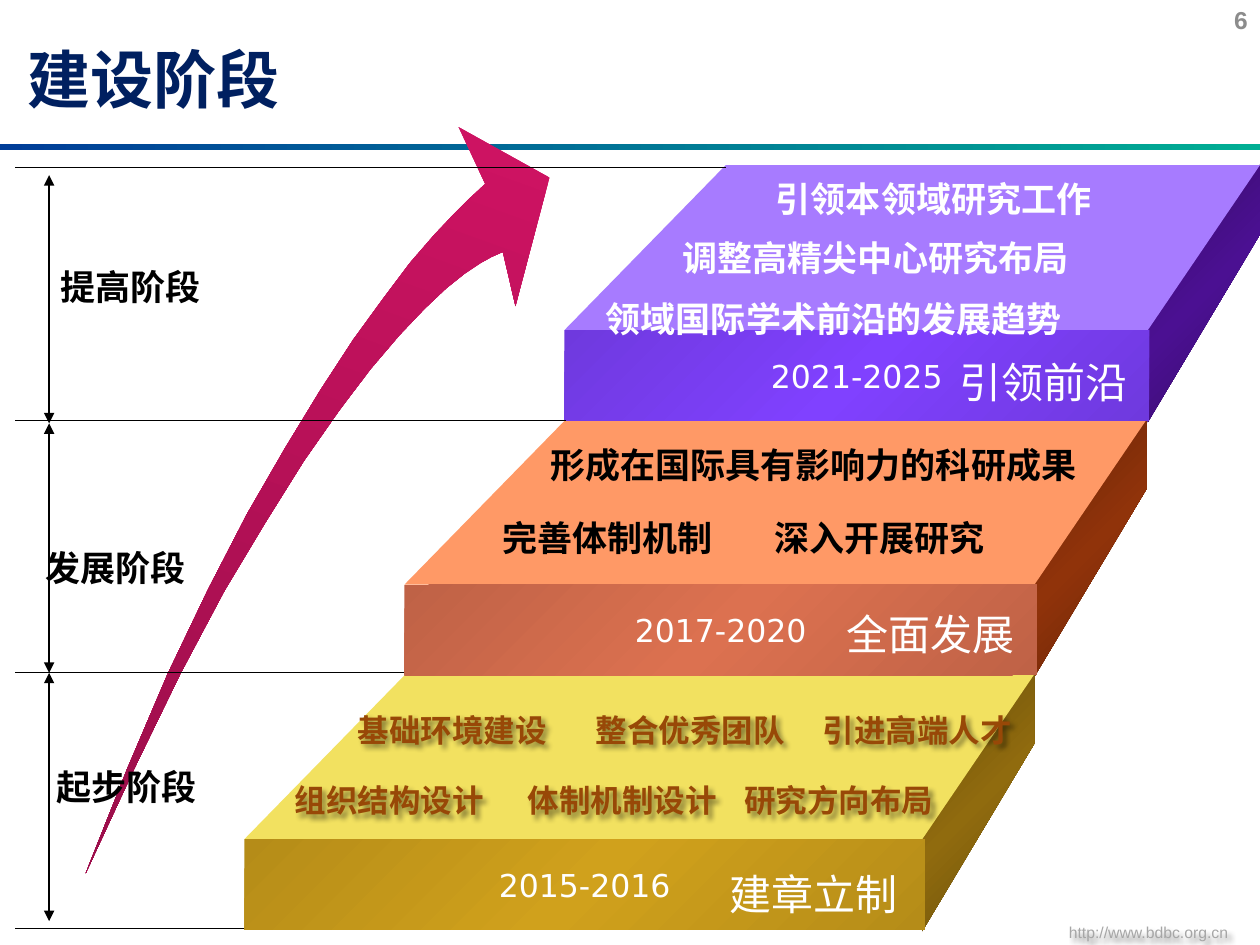
import math
import pptx
import pptx.dml.color
import pptx.enum.shapes
import pptx.enum.text
import pptx.oxml
import pptx.oxml.ns
import pptx.util
from lxml import etree

Inches = pptx.util.Inches
RGB = pptx.dml.color.RGBColor.from_string
qn = pptx.oxml.ns.qn
MSO_SHAPE = pptx.enum.shapes.MSO_SHAPE
ALIGN = pptx.enum.text.PP_ALIGN
MIDDLE = pptx.enum.text.MSO_ANCHOR.MIDDLE

THEME = {
    "navy": "002060", "black": "000000", "white": "FFFFFF", "brown": "984807",
    "page": "8C8C8C", "footer": "A6A6A6",
    "bar": ["003D98", "00AE93"], "arrow": ["D11364", "960E48"],
    "title_size": 36, "name_size": 24, "label_size": 20, "item_size": 18,
    "page_size": 14, "footer_size": 9,
    "head_font": "Arial", "body_font": "Calibri", "date_font": "DejaVu Sans",
}


def paint(sp, colours, angle=0):
    """Fill evenly spaced gradient stops (or one colour); angle runs clockwise."""
    sp.shadow.inherit = False
    sp.line.fill.background()
    if len(colours) == 1:
        sp.fill.solid()
        sp.fill.fore_color.rgb = RGB(colours[0])
        return
    sp.fill.gradient()
    sp.fill.gradient_angle = (360 - angle) % 360
    stops = sp._element.spPr.find(qn("a:gradFill")).find(qn("a:gsLst"))
    for gs in list(stops):
        stops.remove(gs)
    for i, colour in enumerate(colours):
        gs = etree.SubElement(stops, qn("a:gs"), pos=str(100000 * i // (len(colours) - 1)))
        etree.SubElement(gs, qn("a:srgbClr"), val=colour)


def write(sp, text, size, colour, font, bold=False, align=ALIGN.LEFT, anchor=None, wrap=False, shadow=False):
    tf = sp.text_frame
    tf.word_wrap = wrap
    if anchor is not None:
        tf.vertical_anchor = anchor
    p = tf.paragraphs[0]
    p.text = text
    p.alignment = align
    p.font.size = pptx.util.Pt(size)
    p.font.name = font
    p.font.bold = bold
    p.font.color.rgb = RGB(colour)
    if shadow:
        sp.shadow.inherit = False
        effects = sp._element.spPr.find(qn("a:effectLst"))
        outer = etree.SubElement(effects, qn("a:outerShdw"), blurRad="38100", dist="38100", dir="2700000")
        clr = etree.SubElement(outer, qn("a:srgbClr"), val=THEME["black"])
        etree.SubElement(clr, qn("a:alpha"), val="43000")


prs = pptx.Presentation()
prs.slide_width, prs.slide_height = Inches(10), Inches(7.5)
s = prs.slides.add_slide(prs.slide_layouts[5])
shapes = s.shapes

# Frame: title, bar, web address, page number
title = shapes.title
title.left, title.top, title.width, title.height = map(Inches, (0.12, 0.15, 9.82, 0.95))
write(title, "建设阶段", THEME["title_size"], THEME["navy"], THEME["head_font"],
      bold=True, anchor=MIDDLE, wrap=True)

bar = shapes.add_shape(MSO_SHAPE.RECTANGLE, 0, Inches(1.14), Inches(10), Inches(0.05))
paint(bar, THEME["bar"])

footer = shapes.add_shape(MSO_SHAPE.ROUNDED_RECTANGLE, Inches(8.15), Inches(7.16), Inches(1.93), Inches(0.48))
footer.fill.background()
footer.line.fill.background()
write(footer, "http://www.bdbc.org.cn", THEME["footer_size"], THEME["footer"], THEME["head_font"],
      align=ALIGN.CENTER, anchor=MIDDLE, wrap=True, shadow=True)

page = shapes.add_textbox(Inches(9.39), Inches(-0.04), Inches(0.61), Inches(0.4))
write(page, "6", THEME["page_size"], THEME["page"], THEME["head_font"],
      bold=True, align=ALIGN.RIGHT, anchor=MIDDLE, wrap=True)

# Steps: left, front top, front width, back right, side, tread, front, dates
steps = [
    (4.48, 2.62, 4.64, 10, ["360B68", "4B1092", "360B68"], ["A77BFF"],
     ["6F39DE", "8041FF", "6F39DE"], "2021-2025"),
    (3.21, 4.64, 5.02, 9.1, ["672407", "90330A", "672407"], ["FF9966"],
     ["BF6246", "DC7150", "BF6246"], "2017-2020"),
    (1.94, 6.66, 5.4, 8.21, ["674D0A", "906B0E", "674D0A"], ["F2E160"],
     ["B58C18", "D0A11C", "B58C18"], "2015-2016"),
]
polygons = []
for left, top, width, right, side, tread, front, dates in steps:
    corner, back = right - 0.89, top - 1.31
    polygons.append(([(right, back + 0.55), (corner, top + 0.73), (corner, top), (right, back)], side, 45, 0))
    polygons.append(([(corner, top), (left, top), (left + 1.28, back), (right, back)], tread, 0, 0))

# Curved arrow: outer edge, head, inner edge; turned back upright before rotation is set
arrow = [
    (0.68, 6.93), (1.01, 6.1), (1.33, 5.35), (1.65, 4.68), (1.96, 4.08), (2.26, 3.56), (2.54, 3.1),
    (2.8, 2.7), (3.04, 2.37), (3.25, 2.09), (3.44, 1.87), (3.6, 1.7), (3.72, 1.58), (3.85, 1.46),
    (3.64, 1.01), (4.36, 1.41), (4.09, 2.43),
    (3.99, 2), (3.9, 2.04), (3.81, 2.09), (3.69, 2.17), (3.54, 2.29), (3.37, 2.45), (3.17, 2.66),
    (2.94, 2.93), (2.69, 3.26), (2.41, 3.66), (2.11, 4.14), (1.78, 4.69), (1.43, 5.35), (1.07, 6.09),
]
turn, cx, cy = 19.8, 2.585, 4.12
cos, sin = math.cos(math.radians(turn)), math.sin(math.radians(turn))
upright = [(cx + (x - cx) * cos + (y - cy) * sin, cy - (x - cx) * sin + (y - cy) * cos) for x, y in arrow]
polygons.append((upright, THEME["arrow"], 90, turn))

for points, colours, angle, rotation in polygons:
    corners = [(Inches(x), Inches(y)) for x, y in points]
    builder = shapes.build_freeform(*corners[0])
    builder.add_line_segments(corners[1:], close=True)
    sp = builder.convert_to_shape()
    paint(sp, colours, angle)
    sp.rotation = rotation

for left, top, width, right, side, tread, front, dates in steps:
    sp = shapes.add_shape(MSO_SHAPE.RECTANGLE, Inches(left), Inches(top), Inches(width), Inches(0.72))
    paint(sp, front, 45)
    write(sp, dates, THEME["item_size"], THEME["white"], THEME["date_font"], align=ALIGN.CENTER, anchor=MIDDLE)

# Level lines, then double-headed spans between them
levels = [(5.76, 1.33), (4.49, 3.34), (3.21, 5.34), (1.94, 7.37)]
spans = [1.39, 3.36, 5.34, 7.31]
lines = [(x, y, 0.12, y, False) for x, y in levels]
lines += [(0.39, y1, 0.39, y2, True) for y1, y2 in zip(spans, spans[1:])]
for x1, y1, x2, y2, heads in lines:
    c = shapes.add_connector(pptx.enum.shapes.MSO_CONNECTOR.STRAIGHT, Inches(x1), Inches(y1), Inches(x2), Inches(y2))
    c.line.color.rgb = RGB(THEME["black"])
    c.line.width = pptx.util.Pt(0.75)
    if heads:
        for tag in ("a:headEnd", "a:tailEnd"):
            etree.SubElement(c.line._get_or_add_ln(), qn(tag), type="triangle")
    etree.SubElement(c._element.spPr, qn("a:effectLst"))

# Labels: left, top, width, height, text
stages = [(0.38, 2.06, 1.46, 0.59, "提高阶段"), (0.35, 6.03, 1.46, 0.59, "起步阶段"),
          (0.26, 4.29, 1.32, 0.44, "发展阶段")]
growth = [(3.89, 4.05, 1.88, 0.44, "完善体制机制"), (6.05, 4.05, 1.88, 0.44, "深入开展研究"),
          (4.27, 3.47, 5, 0.44, "形成在国际具有影响力的科研成果")]
lead = [(4.71, 2.31, 3.85, 0.44, "领域国际学术前沿的发展趋势"),
        (5.32, 1.83, 3.29, 0.44, "调整高精尖中心研究布局"),
        (6.06, 1.36, 2.73, 0.44, "引领本领域研究工作")]
start = [(x, y, 1.72, 0.4, text) for x, y, text in [
    (2.24, 6.15, "组织结构设计"), (4.09, 6.15, "体制机制设计"), (5.81, 6.15, "研究方向布局"),
    (2.74, 5.59, "基础环境建设"), (4.63, 5.59, "整合优秀团队"), (6.43, 5.59, "引进高端人才")]]
names = [(x, y, 1.55, 0.5, text) for x, y, text in [
    (5.69, 6.84, "建章立制"), (6.62, 4.78, "全面发展"), (7.52, 2.78, "引领前沿")]]
groups = [
    (stages + growth, "label_size", "black", "body_font", True, False),
    (start, "item_size", "brown", "body_font", True, True),
    (lead, "label_size", "white", "body_font", True, False),
    (names, "name_size", "white", "head_font", False, False),
]
for labels, size, colour, font, bold, shadow in groups:
    for x, y, w, h, text in labels:
        sp = shapes.add_textbox(Inches(x), Inches(y), Inches(w), Inches(h))
        write(sp, text, THEME[size], THEME[colour], THEME[font], bold=bold, shadow=shadow)

prs.save("out.pptx")
